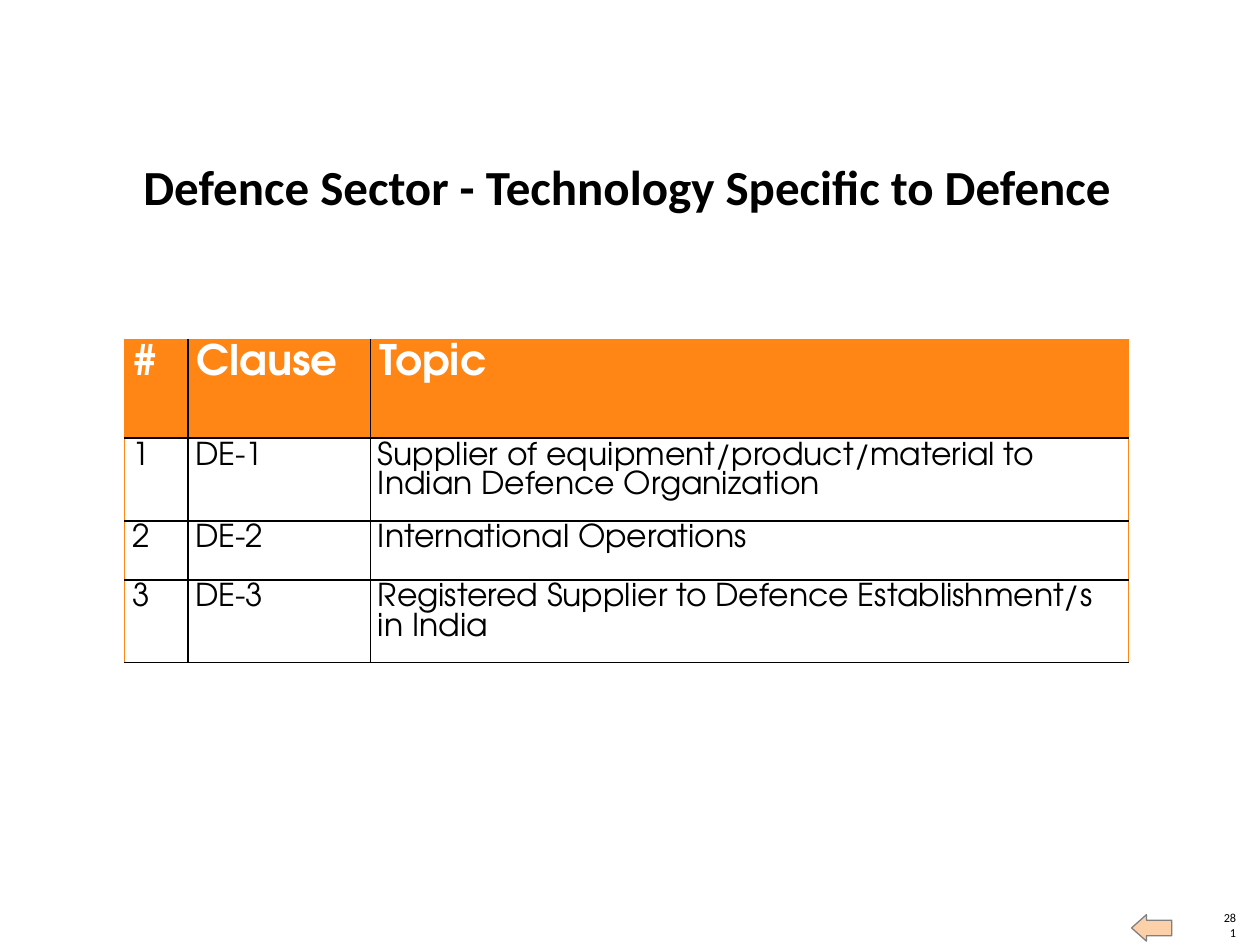
from lxml import etree
from pptx import Presentation
from pptx.dml import color as dml
from pptx.enum import shapes, text
from pptx.oxml import ns
from pptx.util import Pt

COLORS = {"black": "000000", "white": "FFFFFF", "orange": "FF8615",
          "peach": "FCD1AA", "gray": "808080"}


def write(frame, words, align, name, format_values):
    paragraph = frame.paragraphs[0]
    paragraph.alignment = align
    run = paragraph.add_run()
    run.text = words
    run.font.color.rgb = dml.RGBColor.from_string(COLORS[name])
    for key, value in format_values.items():
        setattr(run.font, key, value)
    return paragraph


def border(cell, side, name, width):
    line = etree.SubElement(cell._tc.get_or_add_tcPr(), ns.qn("a:" + side), w=str(Pt(width)))
    fill = etree.SubElement(line, ns.qn("a:solidFill"))
    etree.SubElement(fill, ns.qn("a:srgbClr"), val=COLORS[name])


deck = Presentation()
deck.slide_width, deck.slide_height = Pt(720), Pt(540)
slide = deck.slides.add_slide(deck.slide_layouts[6])

labels = [
    ("281", (697.7, 528.5, 8.64, 8.64), text.PP_ALIGN.RIGHT,
     {"size": Pt(7), "name": "Calibri"}),
    ("Defence Sector - Technology Specific to Defence", (71.3, 89.3, 573.8, 33.8),
     text.PP_ALIGN.CENTER, {"size": Pt(28), "name": "Calibri", "bold": True}),
]
for words, place, align, format_values in labels:
    frame = slide.shapes.add_textbox(*map(Pt, place)).text_frame
    frame_values = {"word_wrap": True, "vertical_anchor": text.MSO_ANCHOR.BOTTOM,
                    "margin_left": 0, "margin_top": 0, "margin_right": 0, "margin_bottom": 0}
    for key, value in frame_values.items():
        setattr(frame, key, value)
    write(frame, words, align, "black", format_values)

back_arrow = slide.shapes.add_shape(shapes.MSO_SHAPE.RIGHT_ARROW,
                                    Pt(646.6), Pt(522.7), Pt(23), Pt(15.1))
back_arrow.rotation = 180
back_arrow.adjustments[0], back_arrow.adjustments[1] = 0.59, 0.56
back_arrow.shadow.inherit = False
back_arrow.fill.solid()
back_arrow.fill.fore_color.rgb = dml.RGBColor.from_string(COLORS["peach"])
back_arrow.line.color.rgb = dml.RGBColor.from_string(COLORS["gray"])
back_arrow.line.width = Pt(0.75)

clauses = [
    ("#", "Clause", "Topic"),
    ("1", "DE-1", "Supplier of equipment/product/material to Indian Defence Organization"),
    ("2", "DE-2", "International Operations"),
    ("3", "DE-3", "Registered Supplier to Defence Establishment/s in India"),
]
widths = [36, 104.4, 433.4]
heights = [56.4, 47.2, 33.8, 47.2]
table = slide.shapes.add_table(len(heights), len(widths), Pt(71.3), Pt(194),
                               Pt(sum(widths)), Pt(sum(heights))).table
for column, width in zip(table.columns, widths):
    column.width = Pt(width)
for r, (row, height) in enumerate(zip(clauses, heights)):
    table.rows[r].height = Pt(height)
    header = r == 0
    size = 24 if header else 18
    inset_x, inset_y = (5, 2.9) if header else (4.3, 2.2)
    for c, words in enumerate(row):
        cell = table.cell(r, c)
        cell_values = {"margin_left": Pt(inset_x), "margin_right": Pt(inset_x),
                       "margin_top": Pt(inset_y), "margin_bottom": Pt(inset_y),
                       "vertical_anchor": text.MSO_ANCHOR.TOP}
        for key, value in cell_values.items():
            setattr(cell, key, value)
        paragraph = write(cell.text_frame, words, text.PP_ALIGN.LEFT,
                          "white" if header else "black",
                          {"size": Pt(size), "name": "TeX Gyre Adventor", "bold": header})
        paragraph.line_spacing = Pt(size * 0.93)
        paragraph.space_after = Pt(10)
        outer = {"lnL": c == 0, "lnR": c == len(widths) - 1, "lnT": header, "lnB": False}
        for side, is_outer in outer.items():
            border(cell, side, *(("orange", 0.75) if is_outer else ("black", 1)))
        if header:
            cell.fill.solid()
            cell.fill.fore_color.rgb = dml.RGBColor.from_string(COLORS["orange"])
        else:
            cell.fill.background()

deck.save("out.pptx")
